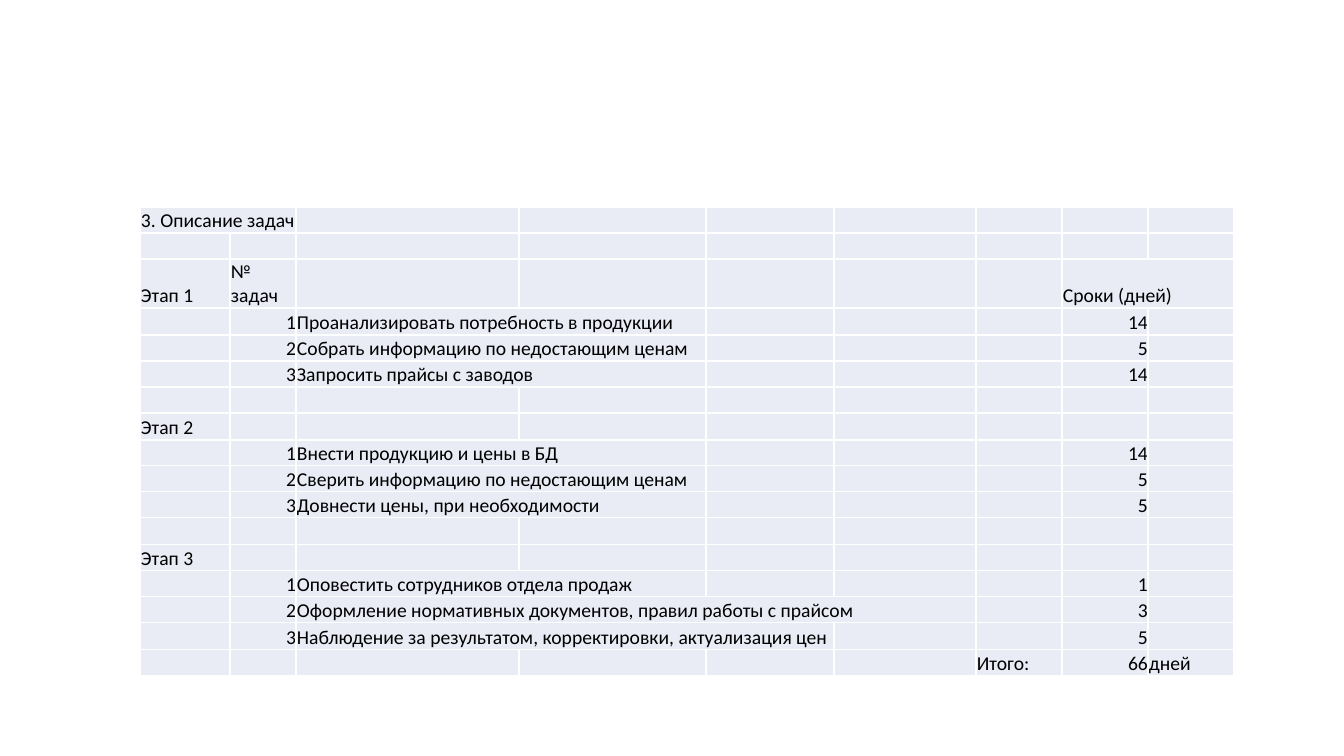
from dataclasses import dataclass

from lxml import etree
from pptx import Presentation
from pptx import util as u
from pptx.dml import color
from pptx.enum import text
from pptx.oxml import ns


@dataclass(frozen=True)
class Theme:
    font: str = "Calibri"
    size: int = 14
    ink: str = "000000"
    fill: str = "E9EBF5"


@dataclass(frozen=True)
class Entry:
    row: int
    column: int
    words: str
    span: int = 1
    right: bool = False


@dataclass(frozen=True)
class Task:
    words: str
    days: int
    span: int = 2


@dataclass(frozen=True)
class Stage:
    row: int
    title: str
    tasks: tuple[Task, ...]


THEME = Theme()
SCALE = 12192000 / 1344
SLIDE_WIDTH, SLIDE_HEIGHT = 1344, 756
TABLE_LEFT, TABLE_TOP = 140, 207
COLUMN_WIDTHS = (90, 66, 223, 187, 128, 142, 86, 86, 86)
ROW_COUNT, HEADER_ROW = 17, 2
ROW_HEIGHTS = [49 if row == HEADER_ROW else 27 if row % 4 == 3 else 26
               for row in range(ROW_COUNT)]
STAGE_COLUMN, NUMBER_COLUMN, TASK_COLUMN = 0, 1, 2
TOTAL_COLUMN, DAYS_COLUMN, UNIT_COLUMN = 6, 7, 8

STAGES = (
    Stage(2, "Этап 1", (
        Task("Проанализировать потребность в продукции", 14),
        Task("Собрать информацию по недостающим ценам", 5),
        Task("Запросить прайсы с заводов", 14),
    )),
    Stage(7, "Этап 2", (
        Task("Внести продукцию и цены в БД", 14),
        Task("Сверить информацию по недостающим ценам", 5),
        Task("Довнести цены, при необходимости", 5),
    )),
    Stage(12, "Этап 3", (
        Task("Оповестить сотрудников отдела продаж", 1),
        Task("Оформление нормативных документов, правил работы с прайсом", 3, 4),
        Task("Наблюдение за результатом, корректировки, актуализация цен", 5, 3),
    )),
)


def px(length: int) -> u.Emu:
    return u.Emu(round(length * SCALE))


def list_entries() -> list[Entry]:
    last = ROW_COUNT - 1
    entries = [
        Entry(0, STAGE_COLUMN, "3. Описание задач", 2),
        Entry(HEADER_ROW, NUMBER_COLUMN, "№ задач"),
        Entry(HEADER_ROW, DAYS_COLUMN, "Сроки (дней)", 2),
        Entry(last, TOTAL_COLUMN, "Итого:"),
        Entry(last, DAYS_COLUMN, "66", right=True),
        Entry(last, UNIT_COLUMN, "дней"),
    ]
    for stage in STAGES:
        entries.append(Entry(stage.row, STAGE_COLUMN, stage.title))
        for number, task in enumerate(stage.tasks, 1):
            row = stage.row + number
            entries += [
                Entry(row, NUMBER_COLUMN, str(number), right=True),
                Entry(row, TASK_COLUMN, task.words, task.span),
                Entry(row, DAYS_COLUMN, str(task.days), right=True),
            ]
    return entries


def style_cell(cell) -> None:
    cell.fill.solid()
    cell.fill.fore_color.rgb = color.RGBColor.from_string(THEME.fill)
    cell.margin_left = cell.margin_top = px(1)
    cell.margin_right = cell.margin_bottom = 0
    cell.vertical_anchor = text.MSO_ANCHOR.BOTTOM
    para = cell.text_frame.paragraphs[0]
    etree.SubElement(para._p, ns.qn("a:endParaRPr"), sz=str(THEME.size * 100))


def write_entry(table, entry: Entry) -> None:
    cell = table.cell(entry.row, entry.column)
    if entry.span > 1:
        cell.merge(table.cell(entry.row, entry.column + entry.span - 1))
    para = cell.text_frame.paragraphs[0]
    para.text = entry.words
    para.alignment = text.PP_ALIGN.RIGHT if entry.right else text.PP_ALIGN.LEFT
    for span in para.runs:
        span.font.name = THEME.font
        span.font.size = u.Pt(THEME.size)
        span.font.color.rgb = color.RGBColor.from_string(THEME.ink)


def add_schedule(page) -> None:
    table = page.shapes.add_table(
        ROW_COUNT, len(COLUMN_WIDTHS), px(TABLE_LEFT), px(TABLE_TOP),
        px(sum(COLUMN_WIDTHS)), px(sum(ROW_HEIGHTS))).table
    table.first_row = table.horz_banding = False
    for column, width in zip(table.columns, COLUMN_WIDTHS):
        column.width = px(width)
    for row, height in zip(table.rows, ROW_HEIGHTS):
        row.height = px(height)
    for cell in table.iter_cells():
        style_cell(cell)
    for entry in list_entries():
        write_entry(table, entry)


def main() -> None:
    deck = Presentation()
    deck.slide_width, deck.slide_height = px(SLIDE_WIDTH), px(SLIDE_HEIGHT)
    page = deck.slides.add_slide(deck.slide_layouts[6])
    add_schedule(page)
    deck.save("out.pptx")


if __name__ == "__main__":
    main()
